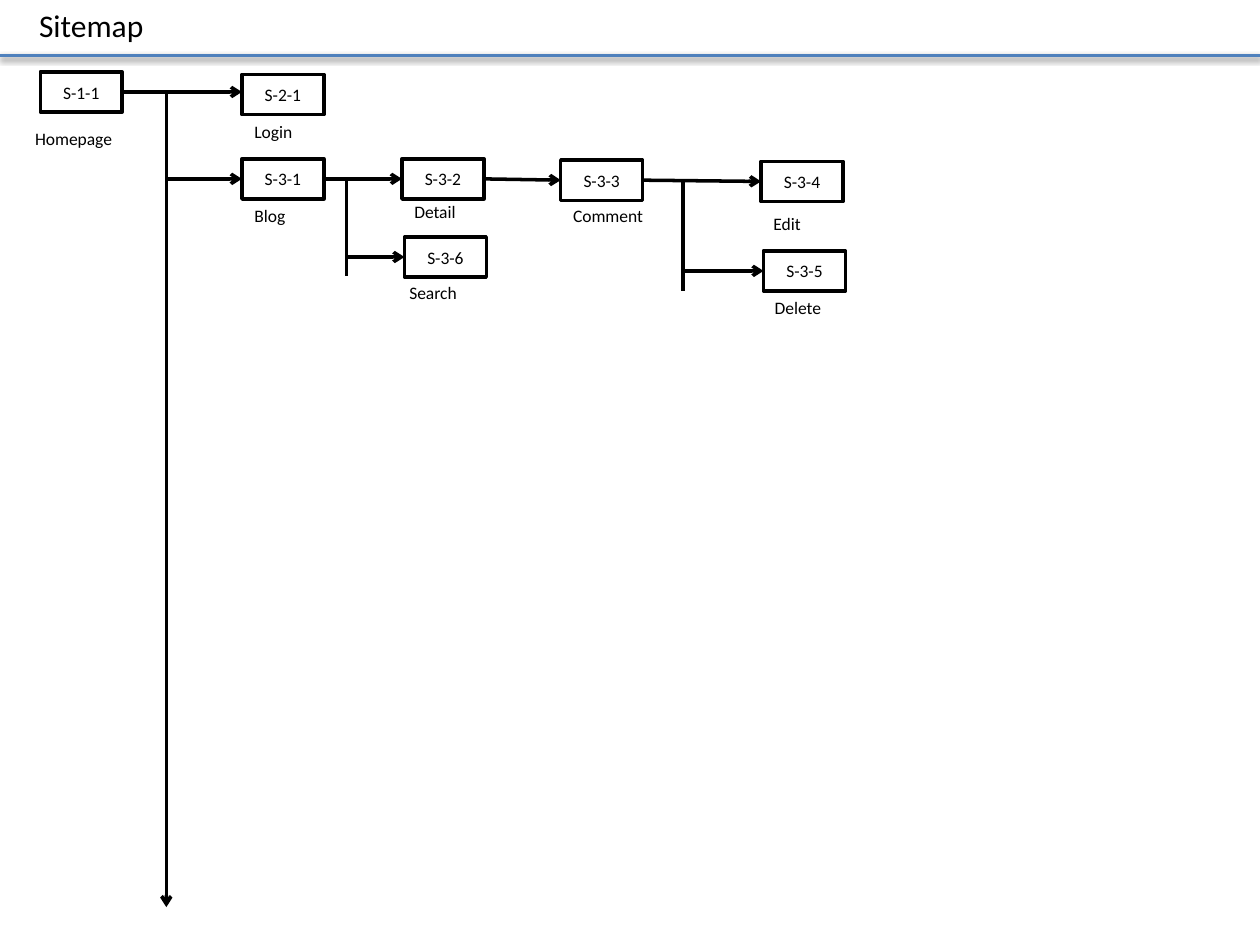
from dataclasses import dataclass
from typing import Optional, Union

from lxml.etree import SubElement
from pptx import Presentation
from pptx.dml.color import RGBColor
from pptx.enum.shapes import MSO_CONNECTOR as Connector, MSO_SHAPE as Shape
from pptx.enum.text import MSO_ANCHOR as Anchor, MSO_AUTO_SIZE as AutoSize, PP_ALIGN as Align
from pptx.oxml.ns import qn
from pptx.util import Inches, Pt


@dataclass(frozen=True)
class Theme:
    font: str = "Calibri"
    ink: RGBColor = RGBColor(0, 0, 0)
    paper: RGBColor = RGBColor(255, 255, 255)
    accent: RGBColor = RGBColor(0x4F, 0x81, 0xBD)
    title_size: int = 18
    body_size: int = 10
    line_width: int = 2


@dataclass(frozen=True)
class Page:
    code: str
    left: float
    top: float
    label: str
    label_left: float
    label_top: float
    label_width: float
    label_height: float = 0.27


@dataclass(frozen=True)
class Point:
    x: float
    y: float


@dataclass(frozen=True)
class Link:
    """A line between points, or between pages named by their codes."""
    start: Union[str, Point]
    end: Union[str, Point]
    arrow: bool = True
    kind: Connector = Connector.STRAIGHT


THEME = Theme()
BOX_WIDTH, BOX_HEIGHT = 0.65, 0.32
LEFT_SIDE, RIGHT_SIDE = 1, 3
TRUNK_X, BLOG_X, COMMENT_X = 1.32, 2.75, 5.42

PAGES = [
    Page("S-1-1", 0.32, 0.57, "Homepage", 0.18, 0.97, 0.82),
    Page("S-2-1", 1.92, 0.59, "Login", 1.92, 0.91, 0.51),
    Page("S-3-1", 1.92, 1.26, "Blog", 1.92, 1.58, 0.45),
    Page("S-3-2", 3.19, 1.26, "Detail", 3.19, 1.55, 0.54),
    Page("S-3-3", 4.45, 1.27, "Comment", 4.45, 1.58, 0.77),
    Page("S-3-4", 6.04, 1.28, "Edit", 6.04, 1.64, 0.42, 0.44),
    Page("S-3-5", 6.06, 1.99, "Delete", 6.05, 2.31, 0.58),
    Page("S-3-6", 3.21, 1.88, "Search", 3.15, 2.19, 0.59),
]

LINKS = [
    Link("S-1-1", Point(TRUNK_X, 7.2), kind=Connector.ELBOW),
    Link(Point(TRUNK_X, 0.73), Point(1.92, 0.73)),
    Link(Point(TRUNK_X, 1.42), "S-3-1"),
    Link("S-3-1", "S-3-2"),
    Link("S-3-2", "S-3-3"),
    Link("S-3-3", "S-3-4"),
    Link(Point(COMMENT_X, 1.43), Point(COMMENT_X, 2.31), arrow=False),
    Link(Point(5.44, 2.15), "S-3-5"),
    Link(Point(BLOG_X, 1.43), Point(BLOG_X, 2.19), arrow=False),
    Link(Point(BLOG_X, 2.04), "S-3-6"),
]


def place(shape, left: float, top: float, width: float, height: float) -> None:
    shape.left, shape.top = Inches(left), Inches(top)
    shape.width, shape.height = Inches(width), Inches(height)


def write(frame, text: str, size: int, align: Align = Align.LEFT) -> None:
    para = frame.paragraphs[0]
    para.alignment = align
    span = para.add_run()
    span.text = text
    span.font.name = THEME.font
    span.font.size = Pt(size)
    span.font.color.rgb = THEME.ink


def fit_to_text(frame) -> None:
    frame.word_wrap = False
    frame.auto_size = AutoSize.SHAPE_TO_FIT_TEXT
    frame.vertical_anchor = Anchor.TOP


def draw_line(slide, start: Point, end: Point, color: RGBColor = THEME.ink,
              kind: Connector = Connector.STRAIGHT):
    line = slide.shapes.add_connector(
        kind, Inches(start.x), Inches(start.y), Inches(end.x), Inches(end.y))
    line.line.color.rgb = color
    line.line.width = Pt(THEME.line_width)
    SubElement(line._element.spPr, qn("a:effectLst"))
    return line


def draw_header(slide) -> None:
    title = slide.shapes.title
    place(title, 0.21, 0, 1.04, 0.4)
    fit_to_text(title.text_frame)
    write(title.text_frame, "Sitemap", THEME.title_size)

    rule = draw_line(slide, Point(0, 0.44), Point(10, 0.44), THEME.accent)
    effects = rule._element.spPr.find(qn("a:effectLst"))
    shadow = SubElement(effects, qn("a:outerShdw"), blurRad=str(Pt(3.1)),
                        dist=str(Pt(1.6)), dir="5400000", rotWithShape="0")
    color = SubElement(shadow, qn("a:srgbClr"), val=str(THEME.ink))
    SubElement(color, qn("a:alpha"), val="38000")


def draw_page(slide, page: Page):
    """Draw the page's box and label, and return the box."""
    box = slide.shapes.add_shape(Shape.RECTANGLE, 0, 0, 0, 0)
    place(box, page.left, page.top, BOX_WIDTH, BOX_HEIGHT)
    box.shadow.inherit = False
    box.fill.solid()
    box.fill.fore_color.rgb = THEME.paper
    box.line.color.rgb = THEME.ink
    box.line.width = Pt(THEME.line_width)
    box.text_frame.vertical_anchor = Anchor.MIDDLE
    write(box.text_frame, page.code, THEME.body_size, Align.CENTER)

    label = slide.shapes.add_textbox(0, 0, 0, 0)
    fit_to_text(label.text_frame)
    write(label.text_frame, page.label, THEME.body_size)
    place(label, page.label_left, page.label_top, page.label_width, page.label_height)
    return box


def draw_link(slide, link: Link, boxes: dict) -> None:
    start_box: Optional[object] = boxes.get(link.start)
    end_box: Optional[object] = boxes.get(link.end)
    origin = Point(0, 0)
    line = draw_line(slide, origin if start_box else link.start,
                     origin if end_box else link.end, kind=link.kind)
    if start_box:
        line.begin_connect(start_box, RIGHT_SIDE)
    if end_box:
        line.end_connect(end_box, LEFT_SIDE)
    if link.kind == Connector.ELBOW:
        line._element.spPr.find(qn("a:prstGeom")).set("prst", "bentConnector2")
    if link.arrow:
        SubElement(line.line._get_or_add_ln(), qn("a:tailEnd"), type="arrow")


def main() -> None:
    deck = Presentation()
    deck.slide_width, deck.slide_height = Inches(10), Inches(7.5)
    slide = deck.slides.add_slide(deck.slide_layouts[5])
    draw_header(slide)
    boxes = {page.code: draw_page(slide, page) for page in PAGES}
    for link in LINKS:
        draw_link(slide, link, boxes)
    deck.save("out.pptx")


if __name__ == "__main__":
    main()
